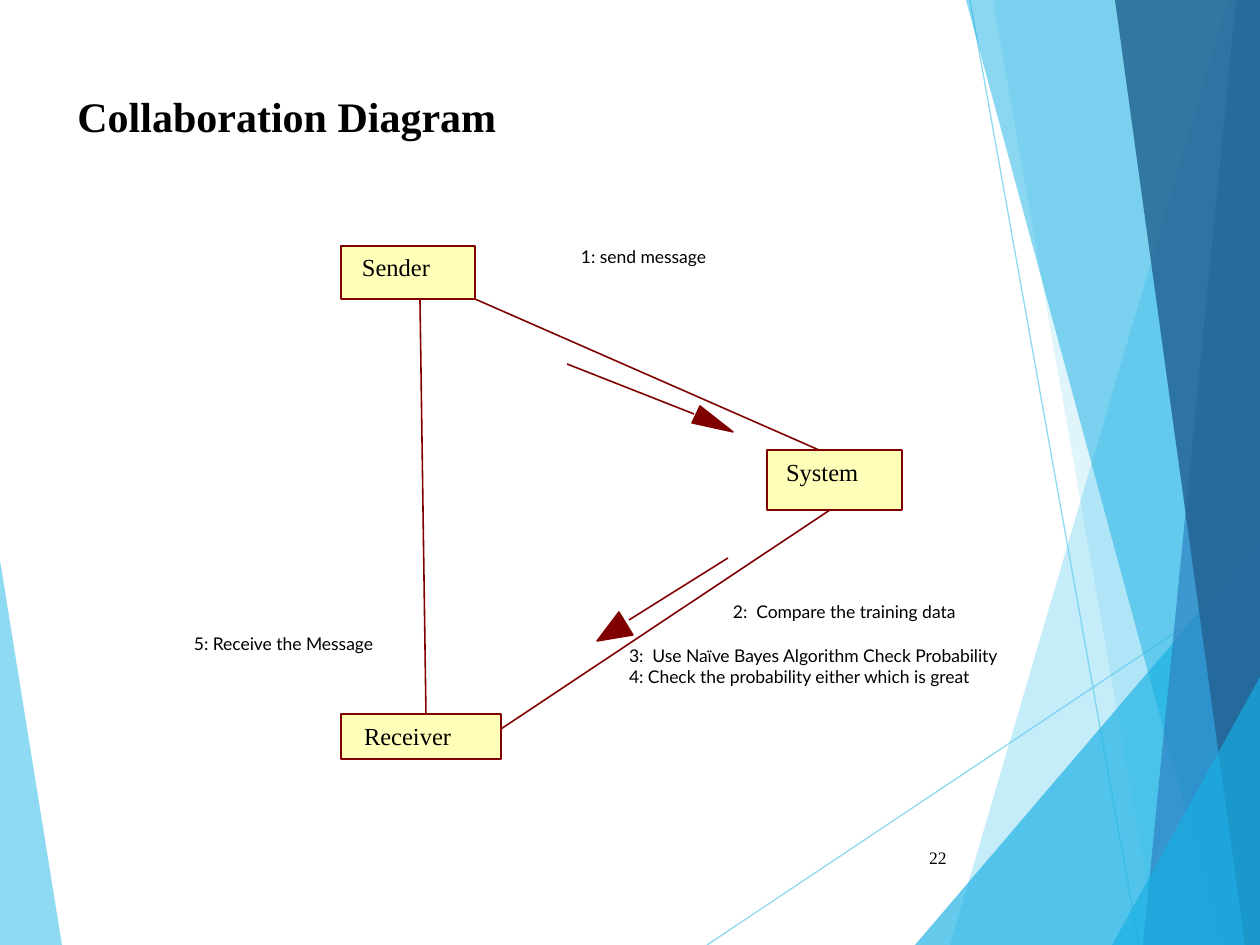
from lxml.etree import SubElement
from pptx import Presentation
from pptx.dml.color import RGBColor
from pptx.enum.shapes import MSO_CONNECTOR, MSO_SHAPE
from pptx.enum.text import MSO_ANCHOR, PP_ALIGN
from pptx.oxml.ns import qn
from pptx.util import Emu, Pt

SCALE = 914400 / 126
WIDTH, HEIGHT = 1260, 945
SERIF, SANS, ACCENT_FONT = "Times New Roman", "Lato", "Calibri"

COLORS = {
    "sky": "5FCBEF",
    "cyan": "17B0E4",
    "blue": "2E83C3",
    "navy": "236292",
    "cream": "FFFFB9",
    "maroon": "800000",
    "black": "000000",
}

BACKDROP_LINES = [((707, 945), (1260, 576)), ((970, 0), (1139, 945))]

LEFT_WEDGE = ([(0, 560), (62, 945), (0, 945)], "sky", 70)
RIGHT_BANDS = [
    ((1228, 0), (950, 945), "sky", 36),
    ((993, 0), (1158, 945), "sky", 20),
    ((1260, 541), (915, 945), "cyan", 66),
    ((966, 0), (1222, 945), "cyan", 50),
    ((1236, 0), (1143, 945), "blue", 70),
    ((1115, 0), (1245, 945), "navy", 82),
    ((1260, 677), (1112, 945), "cyan", 66),
]

BOXES = [
    ("Receiver", (341, 714, 160, 45), (364, 721, 110, 29)),
    ("Sender", (341, 246, 134, 53), (362, 252, 100, 29)),
    ("System", (767, 450, 135, 60), (786, 457, 110, 29)),
]

LINKS = [
    ((426, 714), (420, 299)),
    ((819, 450), (475, 299)),
    ((501, 729), (830, 510)),
    ((567, 364), (694, 414)),
    ((728, 558), (629, 620)),
]

ARROWHEADS = [
    [(619, 612), (597, 641), (633, 635)],
    [(692, 423), (733, 432), (700, 406)],
]

MESSAGES = [
    ((581, 246, 150, 21), [["1: send message"]]),
    ((194, 633, 200, 21), [["5: Receive the Message"]]),
    ((733, 601, 241, 21), [["2:  Compare the training data"]]),
    ((629, 645, 485, 42), [
        ["3:  Use Na", "ï", "ve Bayes Algorithm Check Probability"],
        ["4: Check the probability either which is great"],
    ]),
]

TITLE = ((65, 84, 470, 63), "Collaboration Diagram")
PAGE_NUMBER = ((888, 833, 71, 50), "22")


def px(value):
    return Emu(round(value * SCALE))


def rgb(name):
    return RGBColor.from_string(COLORS[name])


def set_opacity(fill, percent):
    color = fill._xPr.find(qn("a:solidFill"))[0]
    SubElement(color, qn("a:alpha"), val=str(percent * 1000))


def add_line(slide, start, end, color, width, opacity=100):
    points = [px(value) for value in (*start, *end)]
    connector = slide.shapes.add_connector(MSO_CONNECTOR.STRAIGHT, *points)
    connector.line.width = Pt(width)
    connector.line.color.rgb = rgb(color)
    if opacity < 100:
        set_opacity(connector.line.fill, opacity)
    SubElement(connector._element.spPr, qn("a:effectLst"))


def add_polygon(slide, points, color, opacity=100, outline=None):
    builder = slide.shapes.build_freeform(*points[0], scale=SCALE)
    builder.add_line_segments(points[1:], close=True)
    shape = builder.convert_to_shape()
    shape.shadow.inherit = False
    shape.fill.solid()
    shape.fill.fore_color.rgb = rgb(color)
    if opacity < 100:
        set_opacity(shape.fill, opacity)
    if outline:
        shape.line.color.rgb = rgb(color)
        shape.line.width = Pt(outline)
    else:
        shape.line.fill.background()


def add_text(slide, frame, paragraphs, font, size, bold=False, inset=(0, 0),
             align=PP_ALIGN.LEFT, anchor=MSO_ANCHOR.TOP):
    text_box = slide.shapes.add_textbox(*map(px, frame))
    text_frame = text_box.text_frame
    text_frame.word_wrap = True
    text_frame.vertical_anchor = anchor
    text_frame.margin_left = text_frame.margin_right = px(inset[0])
    text_frame.margin_top = text_frame.margin_bottom = px(inset[1])
    for index, runs in enumerate(paragraphs):
        paragraph = text_frame.add_paragraph() if index else text_frame.paragraphs[0]
        paragraph.alignment = align
        paragraph.font.size = Pt(size)
        paragraph.font.bold = bold
        paragraph.font.color.rgb = rgb("black")
        if len(runs) == 1:
            paragraph.font.name = font
        for text in runs:
            run = paragraph.add_run()
            run.text = text
            if len(runs) > 1:
                run.font.name = ACCENT_FONT if text == "ï" else font


def add_box(slide, label, frame, label_frame):
    box = slide.shapes.add_shape(MSO_SHAPE.RECTANGLE, *map(px, frame))
    box.shadow.inherit = False
    box.fill.solid()
    box.fill.fore_color.rgb = rgb("cream")
    box.line.color.rgb = rgb("maroon")
    box.line.width = Pt(0.91)
    add_text(slide, label_frame, [[label]], SERIF, 14)


def main():
    presentation = Presentation()
    presentation.slide_width, presentation.slide_height = px(WIDTH), px(HEIGHT)
    slide = presentation.slides.add_slide(presentation.slide_layouts[6])

    add_polygon(slide, *LEFT_WEDGE)
    for start, end in BACKDROP_LINES:
        add_line(slide, start, end, "sky", 0.75, 70)
    for top, bottom, color, opacity in RIGHT_BANDS:
        corners = [top, bottom, (WIDTH, HEIGHT)]
        if top[0] < WIDTH:
            corners.append((WIDTH, 0))
        add_polygon(slide, corners, color, opacity)

    frame, number = PAGE_NUMBER
    add_text(slide, frame, [[number]], SERIF, 10, inset=(12.6, 6.3),
             align=PP_ALIGN.RIGHT, anchor=MSO_ANCHOR.MIDDLE)

    for box in BOXES:
        add_box(slide, *box)
    for start, end in LINKS:
        add_line(slide, start, end, "maroon", 0.91)
    for frame, paragraphs in MESSAGES:
        add_text(slide, frame, paragraphs, SANS, 10)
    for points in ARROWHEADS:
        add_polygon(slide, points, "maroon", outline=0.85)

    frame, title = TITLE
    add_text(slide, frame, [[title]], SERIF, 24, bold=True, inset=(12.6, 6.3))
    presentation.save("out.pptx")


if __name__ == "__main__":
    main()
